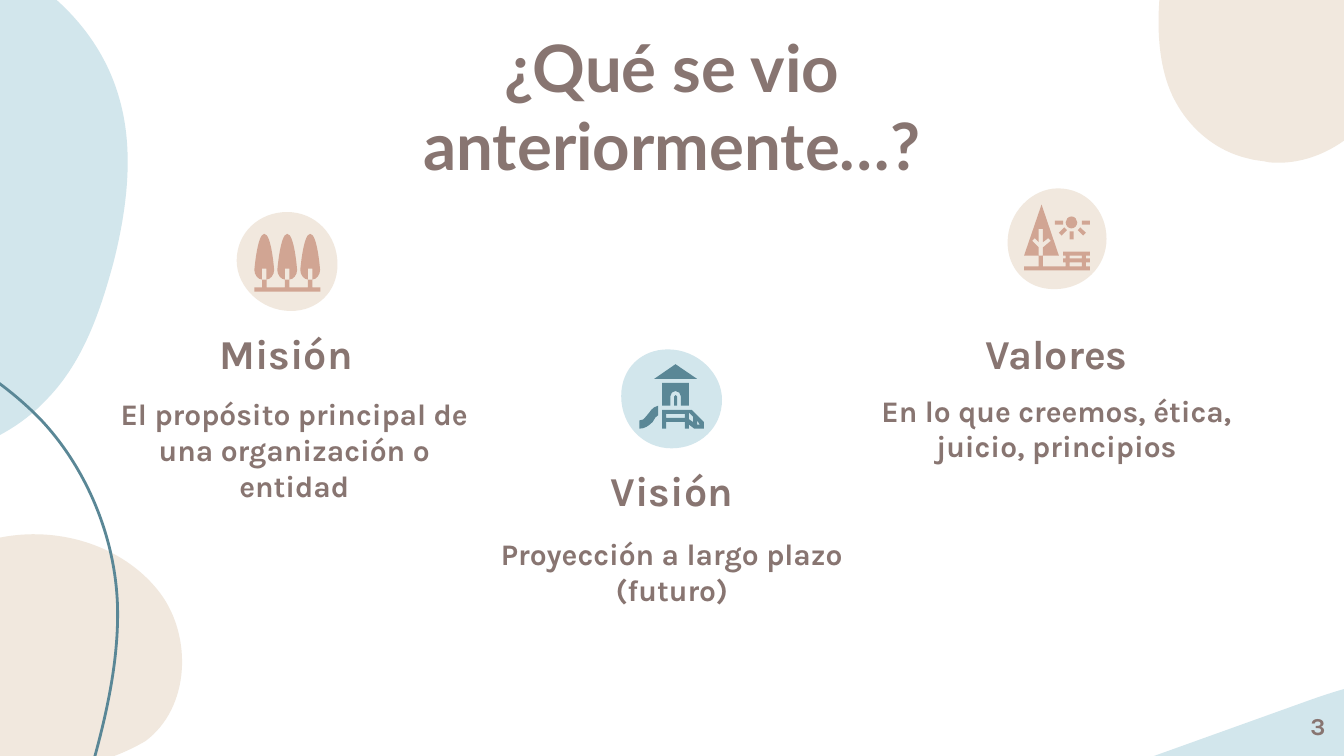
from dataclasses import dataclass

from pptx import Presentation
from pptx.dml.color import RGBColor
from pptx.enum.text import MSO_ANCHOR, MSO_AUTO_SIZE, PP_ALIGN
from pptx.oxml.ns import qn
from pptx.util import Pt


@dataclass(frozen=True)
class Theme:
    """Colours, fonts and type sizes."""
    text: str = "887571"
    sky: str = "D2E6EC"
    sand: str = "F1E8DE"
    teal: str = "5A8796"
    clay: str = "D1A593"
    head: str = "Lato"
    body: str = "Karla"
    title: int = 35
    name: int = 22
    note: int = 16
    page: int = 13


THEME = Theme()

SKY_BLOB = """-264 -59 C -180 -35 -145 -37 -63 -38 -7 -34 49 -1 64 53
72 81 68 112 61 140 54 166 45 193 26 213 6 235 -25 247 -55 246
-110 246 -139 205 -148 170 -154 148 -153 123 -166 104 -178 84 -202 74 -224 69
-247 64 -271 63 -292 54 -313 45 -333 25 -333 2 -333 -25 -300 -60 -264 -59"""
LOW_BLOB = """-38 303 C -50 310 -61 318 -71 327 -95 348 -114 373 -148 391
-178 404 -210 410 -222 431 -233 449 -230 474 -215 487 -190 508 -146 520 -124 551
-109 556 -69 554 -58 526 -47 499 -62 464 -46 438 -35 418 -10 415 14 413
33 412 54 411 78 397 102 379 103 341 86 318 68 294 36 283 6 287 -9 289 -24 295 -38 303"""
ARC = """34 462 C 47 418 63 373 63 329 63 289 46 250 21 224
-42 160 -146 154 -217 98 -246 75 -257 32 -262 -8 -264 -24 -256 -40 -254 -56"""
TOP_BLOB = """845 -53 C 820 -55 798 -55 775 -62 760 -66 744 -73 725 -78
692 -86 653 -77 635 -48 625 -34 622 -15 621 2 620 17 621 36 628 51
636 68 651 81 669 85 672 86 676 86 680 87 702 89 724 77 737 58
744 47 748 32 759 23 770 14 785 12 799 14 813 15 827 19 841 17
855 16 870 8 875 -5 878 -15 874 -27 868 -35 862 -45 855 -51 845 -53"""
END_BLOB = """786 429 C 796 419 804 407 797 390 790 373 771 364 753 364
736 364 719 369 702 375 L 610 408 C 601 411 593 415 587 421 582 426 580 431 580 437
581 450 596 457 608 462 637 471 667 481 697 480 730 479 749 468 771 443
776 438 781 434 786 429"""
BADGE = """0 25 C 0 10 11 0 25 0 41 0 54 13 54 27
54 42 42 53 27 53 12 53 0 41 0 25"""

TREE = """5.3 0 C 1.6 0 0 19.4 0 19.4 0 22 2 24.5 4.1 24.5 L 4.1 18.7 6.5 18.7 6.5 24.5
C 8.6 24.5 10.6 22 10.6 19.4 10.6 19.4 9.2 0 5.3 0"""
GROUND = """4.1 24.5 4.1 28.7 0 28.7 0 30.9 35.3 30.9 35.3 28.7 31.1 28.7 31.1 24.5
28.7 24.5 28.7 28.7 18.8 28.7 18.8 24.5 16.4 24.5 16.4 28.7 6.5 28.7 6.5 24.5"""
GROVE = [(TREE, 0), (TREE, 12.3), (TREE, 24.6), (GROUND, 0)]

DOOR = "18.7 22.3 L 18.7 17.3 C 18.7 16.4 20.2 16.4 20.2 17.3 L 20.2 22.3"
WALL = """12.2 10.1 12.2 22.3 16.6 22.3 16.6 17.3 C 16.6 15.8 18 14.4 19.4 14.4
20.9 14.4 22.3 15.8 22.3 17.3 L 22.3 22.3 26.6 22.3 26.6 10.1"""
ROOF = "19.4 0 7.9 7.9 31 7.9"
CHUTE = """10.1 22.3 C 6.5 23 5.8 25.9 3.6 28.1 2.9 29.5 1.4 30.2 0 30.2
L 0 34.6 C 2.9 34.6 5 33.1 7.2 31 8.6 28.8 8.6 28.1 10.1 27.4"""
DECK = """24.5 26.6 24.5 28.8 14.4 28.8 14.4 26.6
M 26.6 25.9 28.8 28.1 28.8 31 26.6 29.5 M 31 30.2 32.4 32.4 31 32.4
M 12.2 24.5 12.2 34.6 14.4 34.6 14.4 31 24.5 31 24.5 34.6 26.6 34.6
26.6 32.4 29.5 34.6 34.6 34.6 34.6 31 28.1 24.5"""
PLAY = [(part, 0) for part in (DOOR, WALL, ROOF, CHUTE, DECK)]

BENCH = """9.4 0 0 27.4 7.9 27.4 7.9 23 4.3 19.4 5.8 18 7.9 20.2 7.9 13 10.1 13
10.1 20.2 13 18 14.4 19.4 10.1 23 10.1 27.4 18.7 27.4
M 31 27.4 31 28.8 24.5 28.8 24.5 27.4 M 31 31 31 33.1 24.5 33.1 24.5 31
M 20.9 25.2 20.9 27.4 22.3 27.4 22.3 28.8 20.9 28.8 20.9 31 22.3 31 22.3 33.1
10.1 33.1 10.1 27.4 7.9 27.4 7.9 33.1 0 33.1 0 35.3 35.3 35.3 35.3 33.1
33.1 33.1 33.1 31 35.3 31 35.3 28.8 33.1 28.8 33.1 27.4 35.3 27.4 35.3 25.2"""
SUN = """25.4 6.4 C 27.1 6.4 28.5 7.9 28.5 9.5 28.5 11.3 27.1 12.8 25.4 12.8
23.7 12.8 22.3 11.3 22.3 9.5 22.3 7.9 23.7 6.4 25.4 6.4"""
DOWN = "24.5 14.4 24.5 18.7 26.6 18.7 26.6 14.4"
SIDE = "16.6 8.6 16.6 10.8 20.9 10.8 20.9 8.6"
LEFT = "21.6 12.2 18.7 15.1 20.2 16.6 23 13.7"
RIGHT = "30.2 12.2 28.8 13.7 31.7 16.6 33.1 15.1"
PARK = [(BENCH, 0), (SUN, 0), (DOWN, 0), (SIDE, 14.4), (SIDE, 0), (LEFT, 0), (RIGHT, 0)]


def trace(ring):
    """Return the points of an outline and the L or C mark of each."""
    nums, marks, mode = [], [], "L"
    for word in ring.split():
        if word in ("L", "C"):
            mode = word
            continue
        nums.append(Pt(float(word)))
        if len(nums) % 2 == 0:
            marks.append(mode)
    return list(zip(nums[::2], nums[1::2])), marks


def curve(shape, marks):
    """Join each three C points of a freeform into one curve."""
    steps = list(shape._element.iter(qn("a:lnTo")))
    bends = [step for step, mark in zip(steps, marks) if mark == "C"]
    for first, *rest in zip(bends[::3], bends[1::3], bends[2::3]):
        first.tag = qn("a:cubicBezTo")
        for step in rest:
            first.append(step[0])
            step.getparent().remove(step)


def write(shape, text, size, font=THEME.body, align=PP_ALIGN.CENTER, anchor=MSO_ANCHOR.MIDDLE, after=0):
    """Fill a shape with one formatted paragraph."""
    frame = shape.text_frame
    frame.word_wrap = True
    frame.auto_size = MSO_AUTO_SIZE.NONE
    frame.vertical_anchor = anchor
    frame.margin_left = frame.margin_right = frame.margin_top = frame.margin_bottom = Pt(7.2)
    para = frame.paragraphs[0]
    para.alignment = align
    para.space_before, para.space_after = Pt(0), Pt(after)
    run = para.add_run()
    run.text = text
    run.font.name, run.font.size, run.font.bold = font, Pt(size), True
    run.font.color.rgb = RGBColor.from_string(THEME.text)


class Deck:
    """Holds the style and the current slide."""

    def __init__(self, theme):
        """Start a deck with one title-only slide."""
        self.theme = theme
        self.show = Presentation()
        self.show.slide_width, self.show.slide_height = Pt(720), Pt(405)
        self.slide = self.show.slides.add_slide(self.show.slide_layouts[5])

    def title(self, text, *box):
        """Place and fill the title."""
        shape = self.slide.shapes.title
        shape.left, shape.top, shape.width, shape.height = map(Pt, box)
        write(shape, text, self.theme.title, font=self.theme.head)

    def text(self, text, box, size, **style):
        """Add a text box."""
        write(self.slide.shapes.add_textbox(*map(Pt, box)), text, size, **style)

    def form(self, line, fill=None, edge=None, at=(0, 0), turn=0, home=None):
        """Add a freeform, filled and closed or drawn as an open line."""
        rings = [trace(ring) for ring in line.split("M")]
        pen = (home or self.slide).shapes.build_freeform(*rings[0][0][0], scale=1.0)
        for i, (spots, _) in enumerate(rings):
            if i:
                pen.move_to(*spots[0])
            if fill and spots[-1] != spots[0]:
                spots.append(spots[0])
            pen.add_line_segments(spots[1:], close=fill is not None)
        shape = pen.convert_to_shape(*map(Pt, at))
        if len(rings) == 1:
            curve(shape, rings[0][1][1:])
        shape.shadow.inherit = False
        shape.rotation = turn
        if fill:
            shape.fill.solid()
            shape.fill.fore_color.rgb = RGBColor.from_string(fill)
            shape.line.fill.background()
        else:
            shape.fill.background()
            shape.line.color.rgb = RGBColor.from_string(edge)
            shape.line.width = Pt(1.5)

    def icon(self, parts, fill, x, y):
        """Add a grouped icon."""
        group = self.slide.shapes.add_group_shape()
        for line, shift in parts:
            self.form(line, fill, at=(x + shift, y), home=group)

    def value(self, name, note, head, body, badge, turn, back, parts, fill, spot):
        """Add a named idea with its badge and icon."""
        self.text(note, body, self.theme.note, after=12)
        self.text(name, head, self.theme.name)
        self.form(BADGE, back, at=badge, turn=turn)
        self.icon(parts, fill, *spot)


def main():
    """Build and save the slide."""
    deck = Deck(THEME)
    deck.form(SKY_BLOB, THEME.sky)
    deck.form(LOW_BLOB, THEME.sand)
    deck.form(ARC, edge=THEME.teal)
    deck.form(TOP_BLOB, THEME.sand)
    deck.form(END_BLOB, THEME.sky)
    deck.title("¿Qué se vio anteriormente…?", 160.6, 33.8, 398.9, 45.4)
    deck.text("3", (673.9, 373.7, 43.2, 31), THEME.page, align=PP_ALIGN.RIGHT, anchor=MSO_ANCHOR.TOP)
    deck.value("Misión", "El propósito principal de una organización o entidad",
               (46.8, 175.7, 213.1, 26.6), (54.7, 213.8, 205.9, 54),
               (126.8, 113.6), 180, THEME.sand, GROVE, THEME.clay, (136.3, 125.3))
    deck.value("Visión", "Proyección a largo plazo (futuro)",
               (253.4, 249.1, 213.1, 26.6), (253.4, 279.4, 213.1, 54),
               (332.8, 187.2), 0, THEME.sky, PLAY, THEME.teal, (342.5, 195.1))
    deck.value("Valores", "En lo que creemos, ética, juicio, principios",
               (459.4, 175.7, 213.1, 26.6), (459.4, 202.3, 213.1, 54),
               (539.3, 101.4), 270, THEME.sand, PARK, THEME.clay, (548.6, 109.6))
    deck.show.save("out.pptx")


if __name__ == "__main__":
    main()
